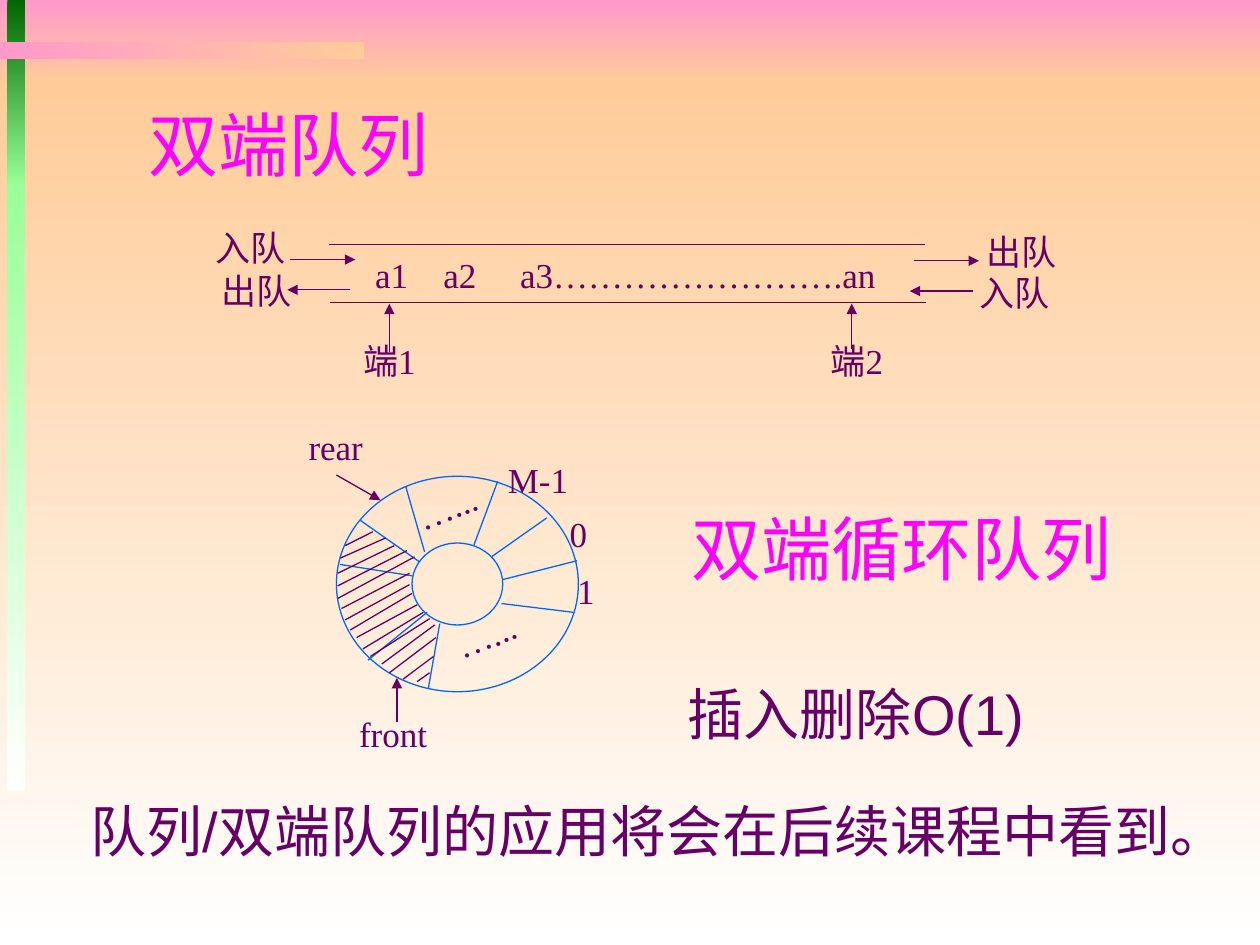
"""Build the slide on double-ended queues and circular double-ended queues."""
import pptx
import pptx.util
import pptx.dml.color
import pptx.enum.shapes
import pptx.enum.text
import pptx.oxml
import pptx.oxml.ns
from lxml import etree

Inches = pptx.util.Inches
Pt = pptx.util.Pt
Shape = pptx.enum.shapes.MSO_SHAPE
Align = pptx.enum.text.PP_ALIGN
Anchor = pptx.enum.text.MSO_ANCHOR

PURPLE, BLUE, MAGENTA = "660066", "0066FF", "FF00FF"
SERIF, SANS = "Times New Roman", "Arial"
DOWN, RIGHT = 270, 0

BANDS = [
    ((0, 0, 10, 0.67), "FF99CC", "FFCC99", DOWN),
    ((0, 0.67, 10, 6.83), "FFCC99", "FFFFFF", DOWN),
    ((0.06, 0, 0.14, 1.48), "006600", "99FF99", DOWN),
    ((0.06, 1.46, 0.14, 4.81), "99FF99", "FFFFFF", DOWN),
    ((0, 0.33, 2.89, 0.14), "FF99CC", "FFCC99", RIGHT),
]
RINGS = [(2.67, 3.78, 1.92, 1.71), (3.27, 4.31, 0.72, 0.65)]
QUEUE_EDGES = [(2.61, 1.94, 7.34, 1.94), (2.62, 2.4, 7.35, 2.4)]
ARROWS = [
    (3.09, 2.79, 3.09, 2.41), (6.76, 2.77, 6.76, 2.41),
    (7.72, 2.31, 7.22, 2.31), (7.25, 2.07, 7.77, 2.07),
    (2.78, 2.3, 2.28, 2.3), (2.3, 2.06, 2.82, 2.06),
    (3.15, 5.73, 3.15, 5.38), (2.67, 3.77, 3.02, 3.97),
]
SPOKES = [
    (3.22, 3.86, 3.37, 4.38), (3.49, 4.95, 3.4, 5.46), (3.39, 4.86, 2.92, 5.24),
    (3.33, 4.46, 2.86, 4.13), (3.95, 3.82, 3.76, 4.33), (3.9, 4.42, 4.34, 4.11),
    (3.99, 4.6, 4.58, 4.45), (3.98, 4.79, 4.55, 4.86), (3.27, 4.57, 2.7, 4.48),
]
HATCHES = [
    (2.74, 4.33, 2.96, 4.22), (2.7, 4.43, 3.06, 4.27), (2.68, 4.55, 3.13, 4.33),
    (2.68, 4.65, 3.23, 4.37), (2.68, 4.75, 3.29, 4.42), (2.71, 4.83, 3.25, 4.55),
    (2.74, 4.92, 3.25, 4.64), (2.78, 5, 3.27, 4.71), (2.83, 5.06, 3.31, 4.8),
    (2.88, 5.15, 3.36, 4.86), (2.94, 5.21, 3.41, 4.91), (3.03, 5.27, 3.45, 4.96),
    (3.09, 5.34, 3.46, 5.06), (3.2, 5.39, 3.44, 5.21), (3.31, 5.41, 3.41, 5.34),
]
LABEL_HEIGHT = 0.43
LABELS = [
    ("入队", 7.67, 2.11, 0.76), ("出队", 7.73, 1.78, 0.76),
    ("入队", 1.61, 1.75, 0.76), ("出队", 1.66, 2.09, 0.76),
    ("0", 4.42, 4.02, 0.34), ("M-1", 3.93, 3.59, 0.68), ("1", 4.48, 4.47, 0.34),
    ("front", 2.75, 5.61, 0.74), ("rear", 2.35, 3.33, 0.63),
]
END_LABELS = [("端1", 2.78, 2.65, 0.62), ("端2", 6.49, 2.65, 0.62)]
DOTS = [("…...", 3.2, 3.81, 0.69), ("…...", 3.51, 4.83, 0.69)]
DOTS_ANGLE = 338.4
QUEUE = ("a1\ta2\ta3…………………….an", (2.88, 1.96, 4.24, LABEL_HEIGHT), (0.54, 1.15))
HEADINGS = [
    ("双端队列", (0.96, 0.76, 3.07, 0.74)),
    ("双端循环队列", (5.27, 3.96, 4.12, 0.74)),
]
STATEMENTS = [
    ("插入删除O(1)", (5.36, 5.34, 4.12, 0.64)),
    ("队列/双端队列的应用将会在后续课程中看到。", (0.62, 6.27, 9.3, 1)),
]


def color(value):
    return pptx.dml.color.RGBColor.from_string(value)


def add_band(slide, place, start, end, angle):
    band = slide.shapes.add_shape(Shape.RECTANGLE, *map(Inches, place))
    band.shadow.inherit = False
    band.line.fill.background()
    band.fill.gradient()
    band.fill.gradient_angle = angle
    for stop, value, position in zip(band.fill.gradient_stops, (start, end), (0, 1)):
        stop.color.rgb = color(value)
        stop.position = position


def add_ring(slide, place):
    ring = slide.shapes.add_shape(Shape.OVAL, *map(Inches, place))
    ring.shadow.inherit = False
    ring.fill.background()
    ring.line.color.rgb = color(BLUE)
    ring.line.width = Pt(0.75)


def add_line(slide, ends, value, arrow=False):
    line = slide.shapes.add_connector(
        pptx.enum.shapes.MSO_CONNECTOR.STRAIGHT, *map(Inches, ends))
    line.line.color.rgb = color(value)
    line.line.width = Pt(0.75)
    if arrow:
        outline = line.line._get_or_add_ln()
        etree.SubElement(outline, pptx.oxml.ns.qn("a:tailEnd"), type="triangle")
    etree.SubElement(line._element.spPr, pptx.oxml.ns.qn("a:effectLst"))


def add_text(slide, text, place, size, font, value, align=Align.LEFT,
             anchor=Anchor.TOP, wrap=True, indent=0, tabs=()):
    box = slide.shapes.add_textbox(*map(Inches, place))
    frame = box.text_frame
    frame.word_wrap = wrap
    frame.vertical_anchor = anchor
    para = frame.paragraphs[0]
    para.alignment = align
    properties = para._p.get_or_add_pPr()
    if indent:
        properties.set("marL", str(Inches(indent)))
        properties.set("indent", "0")
    if tabs:
        stops = etree.SubElement(properties, pptx.oxml.ns.qn("a:tabLst"))
        for tab in tabs:
            etree.SubElement(stops, pptx.oxml.ns.qn("a:tab"), pos=str(Inches(tab)), algn="l")
    span = para.add_run()
    span.text = text
    span.font.size = Pt(size)
    span.font.name = font
    span.font.color.rgb = color(value)
    return box


def add_label(slide, text, left, top, width, wrap=False):
    return add_text(slide, text, (left, top, width, LABEL_HEIGHT), 20, SERIF, PURPLE,
                    Align.CENTER, Anchor.MIDDLE, wrap)


def main():
    deck = pptx.Presentation()
    deck.slide_width, deck.slide_height = Inches(10), Inches(7.5)
    slide = deck.slides.add_slide(deck.slide_layouts[6])
    for band in BANDS:
        add_band(slide, *band)
    for ring in RINGS:
        add_ring(slide, ring)
    for lines, value, arrow in ((QUEUE_EDGES, PURPLE, False), (ARROWS, PURPLE, True),
                                (SPOKES, BLUE, False), (HATCHES, PURPLE, False)):
        for ends in lines:
            add_line(slide, ends, value, arrow)
    queue, place, tabs = QUEUE
    add_text(slide, queue, place, 20, SERIF, PURPLE, anchor=Anchor.MIDDLE, tabs=tabs)
    for label in LABELS:
        add_label(slide, *label)
    for label in END_LABELS:
        add_label(slide, *label, wrap=True)
    for dots in DOTS:
        add_label(slide, *dots).rotation = DOTS_ANGLE
    for text, place in HEADINGS:
        add_text(slide, text, place, 40, SANS, MAGENTA, indent=0.12)
    for text, place in STATEMENTS:
        add_text(slide, text, place, 32, SANS, PURPLE)
    deck.save("out.pptx")


if __name__ == "__main__":
    main()
